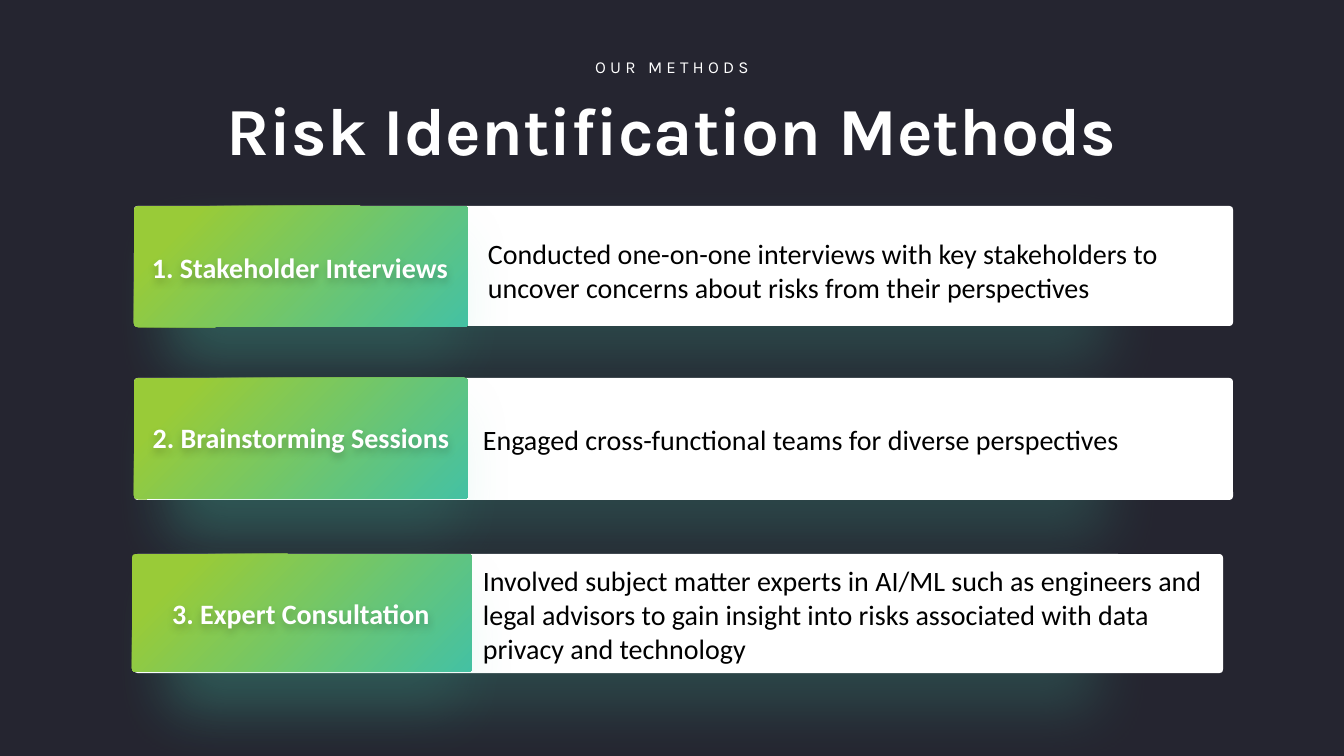
import dataclasses

import lxml.etree
import pptx
import pptx.dml.color
import pptx.enum.shapes
import pptx.enum.text
import pptx.oxml
import pptx.oxml.ns
import pptx.util

PX = 9071.43  # EMU in one px
SLIDE_BOX = (0, 0, 1344, 756)
RGB = pptx.dml.color.RGBColor
NIGHT = RGB(0x25, 0x25, 0x30)
WHITE = RGB(0xFF, 0xFF, 0xFF)
BLACK = RGB(0, 0, 0)
TEAL = RGB(0x44, 0xC1, 0xA3)
LIME = RGB(0x99, 0xCB, 0x38)
CENTER = pptx.enum.text.PP_ALIGN.CENTER
LEFT = pptx.enum.text.PP_ALIGN.LEFT
TOP = pptx.enum.text.MSO_ANCHOR.TOP
MIDDLE = pptx.enum.text.MSO_ANCHOR.MIDDLE
FIT = pptx.enum.text.MSO_AUTO_SIZE.SHAPE_TO_FIT_TEXT
NAMESPACE = pptx.oxml.ns.nsdecls("a")


@dataclasses.dataclass
class Method:
    """One row: its box on the slide, and part boxes relative to that box."""
    name: str
    description: str
    box: tuple
    tag: tuple
    label: tuple
    text: tuple
    line_spacing: float = 1.0
    space_before: int = 0


METHODS = [
    Method("1. Stakeholder Interviews",
           "Conducted one-on-one interviews with key stakeholders to uncover "
           "concerns about risks from their perspectives",
           (134, 206, 1099, 120), (0, 0, 334, 121), (0, 10, 332, 103),
           (344, 26, 753, 78)),
    Method("2. Brainstorming Sessions",
           "Engaged cross-functional teams for diverse perspectives",
           (134, 378, 1099, 122), (0, 0, 334, 121), (1, 7, 332, 105),
           (339, 35, 704, 47), 1.15, 12),
    Method("3. Expert Consultation",
           "Involved subject matter experts in AI/ML such as engineers and "
           "legal advisors to gain insight into risks associated with data "
           "privacy and technology",
           (134, 554, 1089, 119), (-2, 0, 340, 118), (1, 1, 332, 117),
           (339, 5, 747, 112)),
]


def emu(box):
    return [pptx.util.Emu(round(length * PX)) for length in box]


def within(box, part):
    return (box[0] + part[0], box[1] + part[1], part[2], part[3])


def place(shape, box):
    shape.left, shape.top, shape.width, shape.height = emu(box)


def write(shape, text, font, size, color, bold=False, align=LEFT, anchor=TOP):
    frame = shape.text_frame
    frame.text = text
    frame.word_wrap = True
    frame.vertical_anchor = anchor
    paragraph = frame.paragraphs[0]
    paragraph.alignment = align
    run = paragraph.runs[0]
    run.font.name = font
    run.font.size = pptx.util.Pt(size)
    run.font.bold = bold
    run.font.color.rgb = color
    return paragraph


def add_shadow(shape, color, alpha, blur, distance, angle, scale=100):
    """Cast an outer shadow; blur and distance in points, the rest in percent or degrees."""
    shape._element.spPr.append(pptx.oxml.parse_xml(
        f'<a:effectLst {NAMESPACE}><a:outerShdw blurRad="{blur * 12700}" '
        f'dist="{distance * 12700}" dir="{angle * 60000}" sx="{scale * 1000}" '
        f'algn="tl" rotWithShape="0"><a:srgbClr val="{color}">'
        f'<a:alpha val="{alpha * 1000}"/></a:srgbClr></a:outerShdw></a:effectLst>'))


def fill_radial(shape):
    """Spread teal from the bottom right corner into lime."""
    shape.fill.background()
    properties = shape._element.spPr
    empty_fill = properties.find(pptx.oxml.ns.qn("a:noFill"))
    properties.replace(empty_fill, pptx.oxml.parse_xml(
        f'<a:gradFill {NAMESPACE} rotWithShape="1"><a:gsLst>'
        f'<a:gs pos="0"><a:srgbClr val="{TEAL}"/></a:gs>'
        f'<a:gs pos="85000"><a:srgbClr val="{LIME}"/></a:gs></a:gsLst>'
        '<a:path path="circle"><a:fillToRect l="100000" t="100000"/></a:path>'
        '</a:gradFill>'))


def add_panel(slide, box, rounding):
    shape = slide.shapes.add_shape(
        pptx.enum.shapes.MSO_SHAPE.ROUNDED_RECTANGLE, *emu(box))
    shape.adjustments[0] = rounding
    shape.fill.background()
    shape.line.fill.background()
    return shape


def add_heading(slide, box):
    title = slide.shapes.title
    place(title, within(box, (168, 83, 1007, 92)))
    write(title, "Risk Identification Methods", "Karla", 48, WHITE, True, CENTER)
    title.text_frame.auto_size = FIT

    eyebrow = slide.shapes.add_textbox(*emu(within(box, (422, 52, 500, 30))))
    paragraph = write(eyebrow, "OUR METHODS", "Karla", 12, WHITE, align=CENTER)
    paragraph.runs[0].font._element.set("spc", "300")
    eyebrow.text_frame.auto_size = FIT


def add_method(slide, method):
    card = add_panel(slide, method.box, 0.03)
    card.fill.solid()
    card.fill.fore_color.rgb = WHITE
    add_shadow(card, TEAL, 22, 44, 36, 45, 85)

    tag = add_panel(slide, within(method.box, method.tag), 0.03)
    fill_radial(tag)
    add_shadow(tag, TEAL, 15, 44, 37, 45, 85)

    label = add_panel(slide, within(method.box, method.label), 0.13)
    write(label, method.name, "Calibri", 20, WHITE, True, CENTER, MIDDLE)
    add_shadow(label, BLACK, 20, 6, 3, 90)

    description = slide.shapes.add_textbox(*emu(within(method.box, method.text)))
    paragraph = write(description, method.description, "Calibri", 20, BLACK)
    paragraph.line_spacing = method.line_spacing
    paragraph.space_before = pptx.util.Pt(method.space_before)
    description.text_frame.auto_size = FIT


def main():
    presentation = pptx.Presentation()
    presentation.slide_width, presentation.slide_height = emu(SLIDE_BOX)[2:]
    slide = presentation.slides.add_slide(presentation.slide_layouts[5])
    slide.background.fill.solid()
    slide.background.fill.fore_color.rgb = NIGHT
    add_heading(slide, SLIDE_BOX)
    for method in METHODS:
        add_method(slide, method)
    presentation.save("out.pptx")


if __name__ == "__main__":
    main()
